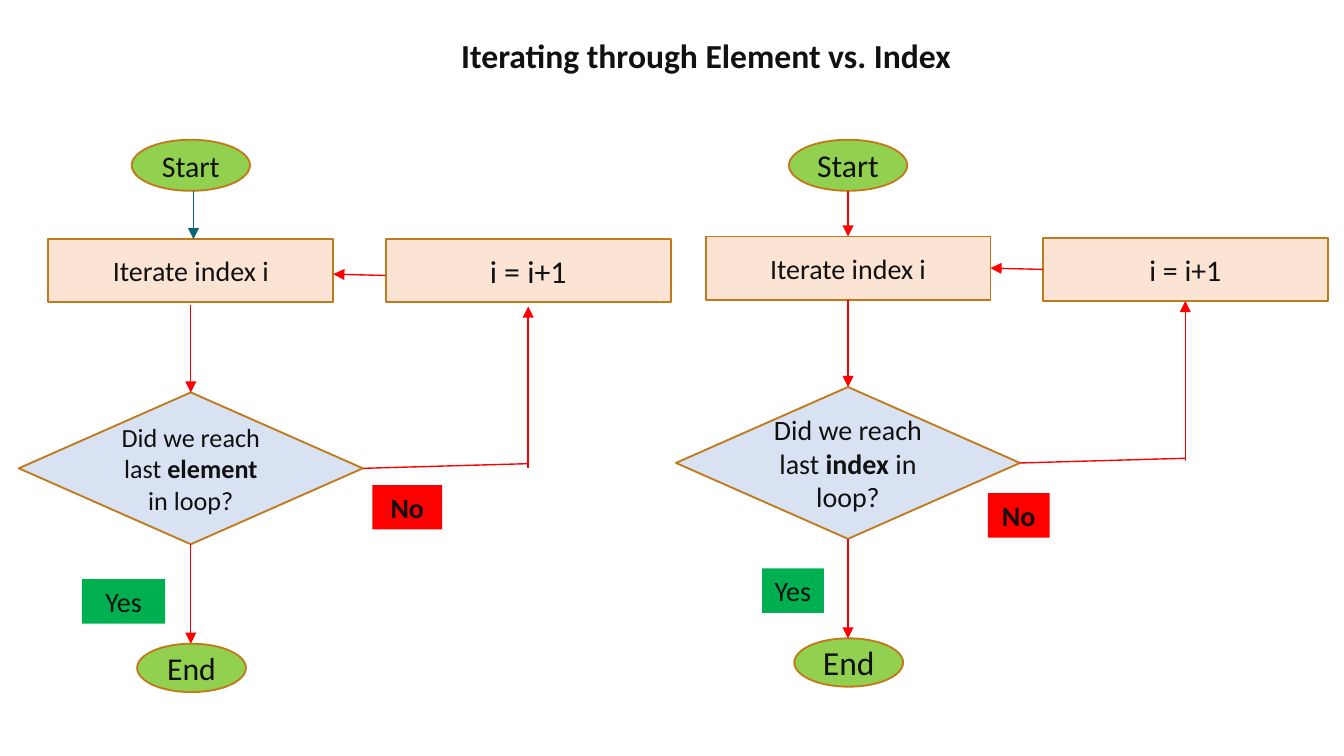
from dataclasses import dataclass

from lxml import etree
from pptx import Presentation, util as u
from pptx.dml.color import RGBColor
from pptx.enum import shapes, text
from pptx.oxml import ns

PX = u.Inches(1) // 100


@dataclass(frozen=True)
class Theme:
    font: str = "Calibri"
    ink: str = "111111"
    outline: str = "C0791B"
    terminal: str = "92D050"
    process: str = "FBE4D4"
    decision: str = "D8E2F3"
    no: str = "FF0000"
    yes: str = "00B050"
    arrow: str = "FF0000"
    first_arrow: str = "0B6374"
    title_size: int = 18
    label_size: int = 15
    outline_width: float = 1
    arrow_width: float = 0.75


@dataclass(frozen=True)
class Flow:
    center: int
    subject: str
    start_size: int
    end_size: int
    step_size: int
    question_size: int
    first_arrow: str
    first_arrow_x: int
    iterate_top: int
    step_top: int
    iterate_exit: int
    step_entry: int
    question_top: int
    end_top: int
    back_from: int
    back_to: int
    turn_y: int
    riser_y: int
    no_box: tuple
    yes_box: tuple


def write(frame, *parts, size, bold=False, anchor=text.MSO_ANCHOR.MIDDLE,
          fit=text.MSO_AUTO_SIZE.NONE, theme):
    frame.word_wrap = True
    frame.auto_size = fit
    frame.vertical_anchor = anchor
    frame.margin_left = frame.margin_right = 7 * PX
    frame.margin_top = frame.margin_bottom = 4 * PX
    paragraph = frame.paragraphs[0]
    paragraph.alignment = text.PP_ALIGN.CENTER
    for index, part in enumerate(parts):
        run = paragraph.add_run()
        run.text = part
        run.font.name = theme.font
        run.font.size = u.Pt(size)
        run.font.bold = bold or index % 2 == 1
        run.font.color.rgb = RGBColor.from_string(theme.ink)


class FlowSlide:
    def __init__(self, presentation, theme):
        self.theme = theme
        self.slide = presentation.slides.add_slide(presentation.slide_layouts[5])
        self.nodes = []

    def title(self, wording, left, top, width, height):
        shape = self.slide.shapes.title
        shape.left, shape.top, shape.width, shape.height = (
            n * PX for n in (left, top, width, height))
        write(shape.text_frame, wording, size=self.theme.title_size, bold=True,
              anchor=text.MSO_ANCHOR.TOP, fit=text.MSO_AUTO_SIZE.SHAPE_TO_FIT_TEXT,
              theme=self.theme)

    def shape(self, kind, box, fill):
        shape = self.slide.shapes.add_shape(kind, *(n * PX for n in box))
        shape.shadow.inherit = False
        shape.fill.solid()
        shape.fill.fore_color.rgb = RGBColor.from_string(fill)
        return shape

    def node(self, kind, box, fill, *parts, size):
        shape = self.shape(kind, box, fill)
        shape.line.color.rgb = RGBColor.from_string(self.theme.outline)
        shape.line.width = u.Pt(self.theme.outline_width)
        write(shape.text_frame, *parts, size=size, theme=self.theme)
        if kind != shapes.MSO_SHAPE.OVAL:
            self.nodes.append((shape, box))

    def terminal(self, box, wording, size):
        self.node(shapes.MSO_SHAPE.OVAL, box, self.theme.terminal, wording, size=size)

    def process(self, left, top, wording, size):
        self.node(shapes.MSO_SHAPE.RECTANGLE, (left, top, 212, 47),
                  self.theme.process, wording, size=size)

    def decision(self, box, *parts, size):
        self.node(shapes.MSO_SHAPE.FLOWCHART_DECISION, box, self.theme.decision,
                  *parts, size=size)

    def label(self, box, wording, fill, bold=False):
        shape = self.shape(shapes.MSO_SHAPE.RECTANGLE, box, fill)
        shape.line.fill.background()
        write(shape.text_frame, wording, size=self.theme.label_size, bold=bold,
              anchor=text.MSO_ANCHOR.TOP, fit=text.MSO_AUTO_SIZE.SHAPE_TO_FIT_TEXT,
              theme=self.theme)

    def join(self, connect, point):
        for shape, (left, top, width, height) in self.nodes:
            sides = ((left + width / 2, top), (left, top + height / 2),
                     (left + width / 2, top + height), (left + width, top + height / 2))
            for site, side in enumerate(sides):
                if max(abs(side[0] - point[0]), abs(side[1] - point[1])) <= 1:
                    connect(shape, site)

    def connector(self, start, end, color=None, head=True):
        line = self.slide.shapes.add_connector(
            shapes.MSO_CONNECTOR.STRAIGHT, *(n * PX for n in start + end))
        line.line.color.rgb = RGBColor.from_string(color or self.theme.arrow)
        line.line.width = u.Pt(self.theme.arrow_width)
        if head:
            etree.SubElement(line.line._get_or_add_ln(), ns.qn("a:tailEnd"), type="triangle")
        etree.SubElement(line._element.spPr, ns.qn("a:effectLst"))
        self.join(line.begin_connect, start)
        self.join(line.end_connect, end)

    def flow(self, flow):
        center, theme = flow.center, self.theme
        iterate_left, step_left = center - 106, center + 145
        question_right, riser_x = center + 128, step_left + 106
        self.terminal((center - 44, 104, 88, 38), "Start", flow.start_size)
        self.process(iterate_left, flow.iterate_top, "Iterate index i", theme.label_size)
        self.process(step_left, flow.step_top, "i = i+1", flow.step_size)
        self.decision((center - 128, flow.question_top, 256, 113), "Did we reach last ",
                      flow.subject + " ", "in loop?", size=flow.question_size)
        self.terminal((center - 40, flow.end_top, 81, 36), "End", flow.end_size)
        self.label(flow.no_box, "No", theme.no, bold=True)
        self.label(flow.yes_box, "Yes", theme.yes)
        self.connector((flow.first_arrow_x, 142), (flow.first_arrow_x, flow.iterate_top),
                       flow.first_arrow)
        self.connector((center, flow.iterate_exit), (center, flow.question_top))
        self.connector((center, flow.question_top + 113), (center, flow.end_top))
        self.connector((question_right, flow.question_top + 57),
                       (riser_x, flow.turn_y), head=False)
        self.connector((riser_x, flow.riser_y), (riser_x, flow.step_entry))
        self.connector((step_left, flow.back_from), (iterate_left + 212, flow.back_to))


def main():
    theme = Theme()
    presentation = Presentation()
    presentation.slide_width = 1000 * PX
    presentation.slide_height = presentation.slide_width * 9 // 16
    slide = FlowSlide(presentation, theme)
    slide.title("Iterating through Element vs. Index", 270, 22, 511, 38)
    slide.flow(Flow(
        center=142, subject="element", start_size=16, end_size=17, step_size=17,
        question_size=14, first_arrow=theme.first_arrow, first_arrow_x=144,
        iterate_top=178, step_top=178, iterate_exit=227, step_entry=228,
        question_top=292, end_top=479, back_from=205, back_to=204, turn_y=345,
        riser_y=348, no_box=(277, 361, 52, 33), yes_box=(61, 431, 62, 33)))
    slide.flow(Flow(
        center=631, subject="index", start_size=17, end_size=18, step_size=16,
        question_size=15, first_arrow=theme.arrow, first_arrow_x=631,
        iterate_top=176, step_top=177, iterate_exit=223, step_entry=224,
        question_top=288, end_top=475, back_from=200, back_to=200, turn_y=341,
        riser_y=343, no_box=(735, 367, 46, 33), yes_box=(567, 423, 46, 33)))
    presentation.save("out.pptx")


if __name__ == "__main__":
    main()
